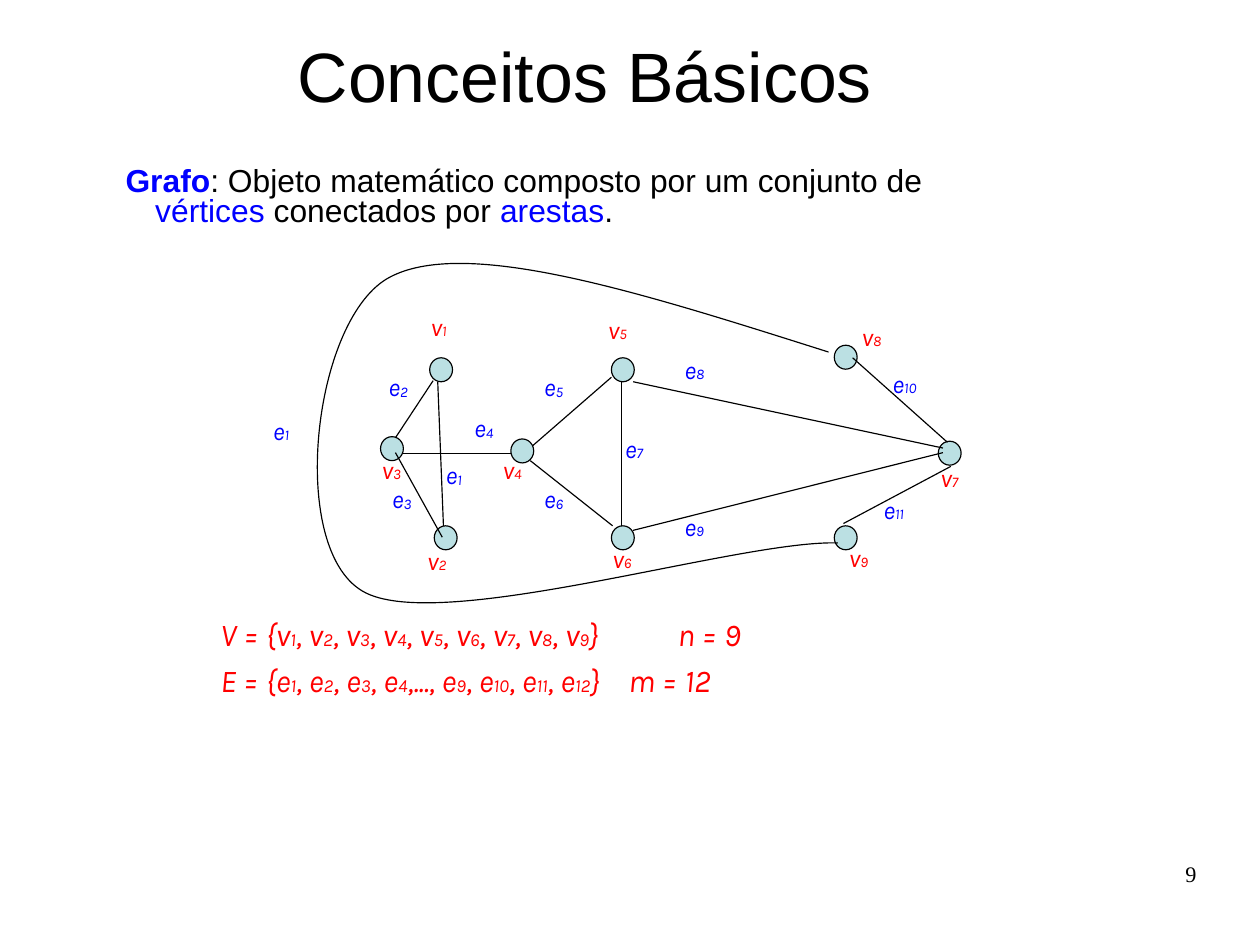
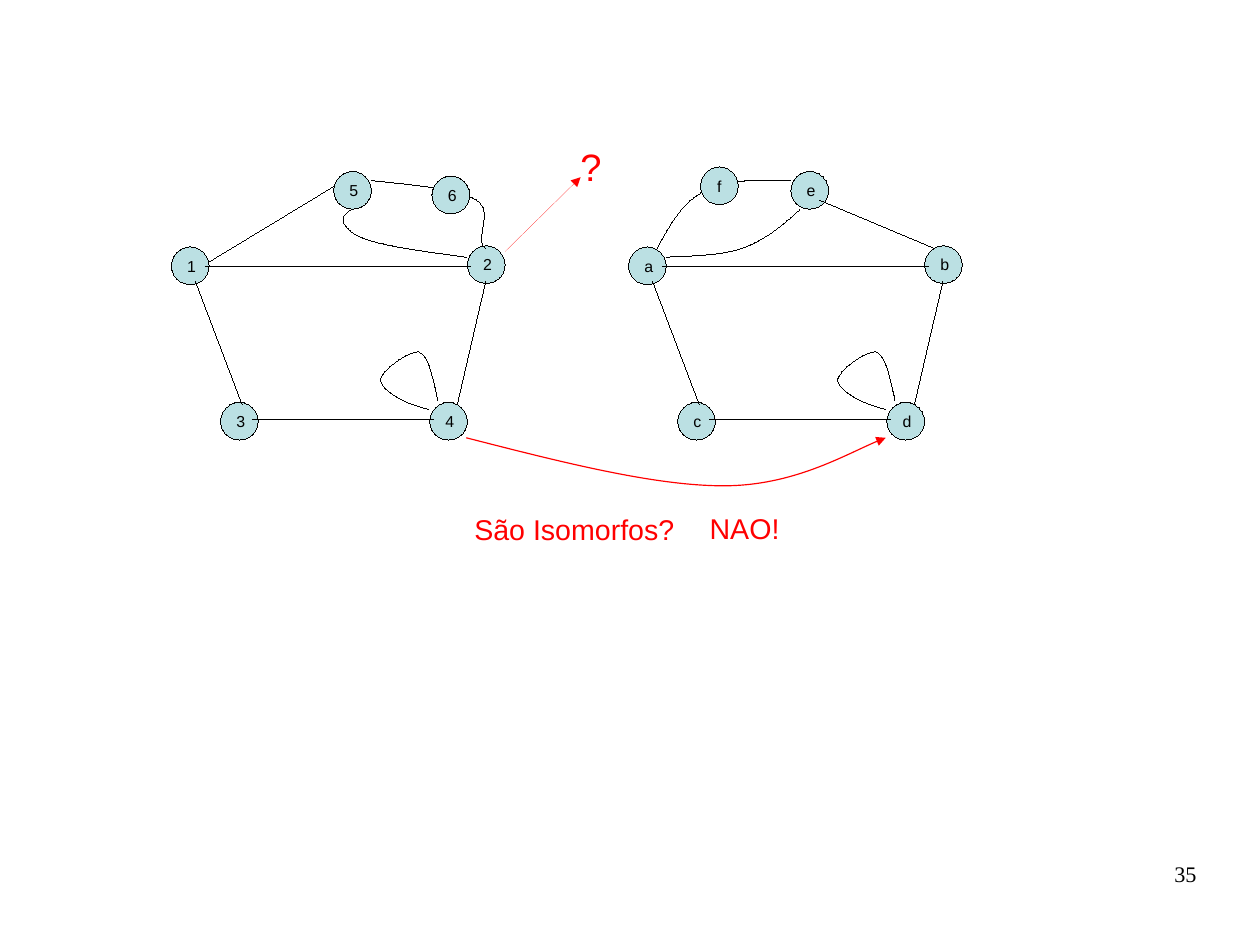
from dataclasses import dataclass
from typing import NamedTuple

from lxml.etree import SubElement
from pptx import Presentation
from pptx.dml.color import RGBColor
from pptx.enum.shapes import MSO_CONNECTOR, MSO_SHAPE
from pptx.enum.text import MSO_ANCHOR as Anchor, PP_ALIGN as Align
from pptx.oxml.ns import qn
from pptx.util import Emu, Inches, Pt

SLIDE_WIDTH, SLIDE_HEIGHT = Emu(10080625), Emu(7559675)
BLACK, RED, BLUE, NODE_FILL = "000000", "FF0000", "0000FF", "BBE0E3"
THIN, HAIRLINE = 0.75, 0
RIGHT_GRAPH_SHIFT = 4


class Point(NamedTuple):
    x: float
    y: float


class Box(NamedTuple):
    left: float
    top: float
    width: float
    height: float


class Edge(NamedTuple):
    start: Point
    end: Point


class Run(NamedTuple):
    text: str
    color: str = BLACK
    bold: bool = False
    subscript: bool = False


class Label(NamedTuple):
    letter: str
    index: str
    left: float
    top: float


@dataclass
class Para:
    runs: list[Run]
    size: float
    font: str = "Arial"
    italic: bool = False
    align: Align = Align.LEFT
    line_spacing: float | None = None
    space_before: float = 0
    hanging: float = 0
    tab: float = 0


@dataclass
class Curve:
    """Cubic curve: a start, then three points for each bend."""
    points: list[tuple[float, float]]
    color: str = BLACK
    width: float = HAIRLINE
    arrow: bool = False


def rgb(color: str) -> RGBColor:
    return RGBColor.from_string(color)


def marked_runs(marked: str, color: str) -> list[Run]:
    """Split at underscores; every second piece is a subscript."""
    return [Run(piece, color, subscript=i % 2 == 1)
            for i, piece in enumerate(marked.split("_")) if piece]


def fill_frame(frame, paras: list[Para]) -> None:
    for i, para in enumerate(paras):
        paragraph = frame.add_paragraph() if i else frame.paragraphs[0]
        props = paragraph._p.get_or_add_pPr()
        if para.hanging:
            props.set("marL", str(Inches(para.hanging)))
            props.set("indent", str(-Inches(para.hanging)))
        if para.tab:
            tabs = SubElement(props, qn("a:tabLst"))
            SubElement(tabs, qn("a:tab"), pos=str(Inches(para.tab)), algn="l")
        spacing = {"alignment": para.align, "line_spacing": para.line_spacing,
                   "space_before": Pt(para.space_before) if i else None}
        for name, value in spacing.items():
            setattr(paragraph, name, value)
        for part in para.runs:
            run = paragraph.add_run()
            run.text = part.text
            style = {"name": para.font, "size": Pt(para.size),
                     "italic": para.italic, "bold": part.bold}
            for name, value in style.items():
                setattr(run.font, name, value)
            run.font.color.rgb = rgb(part.color)
            if part.subscript:
                run._r.get_or_add_rPr().set("baseline", "-1000")


def set_frame(frame, margin_x: float, margin_y: float, anchor: Anchor, wrap: bool) -> None:
    layout = {"margin_left": Inches(margin_x), "margin_right": Inches(margin_x),
              "margin_top": Inches(margin_y), "margin_bottom": Inches(margin_y),
              "vertical_anchor": anchor, "word_wrap": wrap}
    for name, value in layout.items():
        setattr(frame, name, value)


def add_text(slide, box: Box, paras: list[Para], anchor: Anchor = Anchor.TOP,
             margins: tuple[float, float] = (0.1, 0.05), wrap: bool = True) -> None:
    frame = slide.shapes.add_textbox(*map(Inches, box)).text_frame
    set_frame(frame, *margins, anchor, wrap)
    fill_frame(frame, paras)


def set_line(line, color: str, width: float, arrow: bool = False) -> None:
    """Write the width out, because a zero would otherwise fall back to the theme."""
    line.color.rgb = rgb(color)
    outline = line._get_or_add_ln()
    outline.set("w", str(Pt(width)))
    if arrow:
        SubElement(outline, qn("a:tailEnd"), type="triangle")


def add_node(slide, box: Box, width: float, name: str = "") -> None:
    node = slide.shapes.add_shape(MSO_SHAPE.OVAL, *map(Inches, box))
    node.shadow.inherit = False
    node.fill.solid()
    node.fill.fore_color.rgb = rgb(NODE_FILL)
    set_line(node.line, BLACK, width)
    if name:
        set_frame(node.text_frame, 0.09, 0.04, Anchor.MIDDLE, True)
        fill_frame(node.text_frame, [Para([Run(name)], 10, align=Align.CENTER)])


def add_edge(slide, edge: Edge, width: float, color: str = BLACK, arrow: bool = False) -> None:
    line = slide.shapes.add_connector(
        MSO_CONNECTOR.STRAIGHT, *map(Inches, (*edge.start, *edge.end)))
    set_line(line.line, color, width, arrow)
    SubElement(line._element.spPr, qn("a:effectLst"))


def add_curve(slide, curve: Curve, shift: float = 0) -> None:
    """Build the outline from its control points, then join them in threes as Béziers."""
    points = [(Inches(x + shift), Inches(y)) for x, y in curve.points]
    builder = slide.shapes.build_freeform(*points[0])
    builder.add_line_segments(points[1:], close=False)
    shape = builder.convert_to_shape()
    shape.shadow.inherit = False
    shape.fill.background()
    set_line(shape.line, curve.color, curve.width, curve.arrow)
    outline = next(shape._element.iter(qn("a:path")))
    steps = outline.findall(qn("a:lnTo"))
    for first in range(0, len(steps), 3):
        bend = SubElement(outline, qn("a:cubicBezTo"))
        for step in steps[first:first + 3]:
            bend.append(step[0])
            outline.remove(step)


def add_page_number(slide, number: int) -> None:
    add_text(slide, Box(7.9, 7.53, 2.57, 0.57),
             [Para([Run(str(number))], 14, "Times New Roman", align=Align.RIGHT)],
             margins=(0, 0))


def edges(*ends: tuple[float, float, float, float]) -> list[Edge]:
    return [Edge(Point(x1, y1), Point(x2, y2)) for x1, y1, x2, y2 in ends]


VERTICES = [Point(3.76, 3.13), Point(3.8, 4.6), Point(3.33, 3.82), Point(4.47, 3.84),
            Point(7.3, 3.02), Point(5.35, 4.6), Point(7.3, 4.6), Point(5.35, 3.13),
            Point(8.21, 3.86)]
GRAPH_EDGES = edges(
    (3.53, 3.97, 4.47, 3.97), (5.44, 3.34, 5.44, 4.6), (4.66, 3.9, 5.35, 3.3),
    (4.64, 4.03, 5.36, 4.6), (5.54, 3.34, 8.25, 3.92), (5.54, 4.64, 8.25, 3.96),
    (8.29, 3.87, 7.46, 3.13), (8.32, 4.08, 7.38, 4.58), (3.87, 4.7, 3.46, 3.96),
    (3.79, 3.33, 3.46, 3.83), (3.83, 3.34, 3.88, 4.6))
OUTER_EDGE = Curve([(7.25, 3.08), (5.67, 2.58), (4.1, 2.07), (3.42, 2.42),
                    (2.74, 2.76), (2.51, 4.78), (3.17, 5.17),
                    (3.82, 5.56), (6.47, 4.72), (7.33, 4.75)], width=THIN)
LABELS = [
    Label("e", "3", 3.33, 4.18), Label("e", "2", 3.3, 3.2), Label("e", "4", 4.05, 3.56),
    Label("e", "5", 4.66, 3.2), Label("e", "9", 5.89, 4.42), Label("e", "6", 4.66, 4.18),
    Label("e", "8", 5.89, 3.05), Label("e", "10", 7.71, 3.17), Label("e", "11", 7.63, 4.27),
    Label("e", "1", 3.8, 3.97), Label("e", "1", 2.29, 3.58), Label("e", "7", 5.37, 3.74),
    Label("v", "1", 3.67, 2.67), Label("v", "2", 3.64, 4.72), Label("v", "3", 3.24, 3.92),
    Label("v", "4", 4.3, 3.92), Label("v", "5", 5.22, 2.7), Label("v", "6", 5.26, 4.7),
    Label("v", "7", 8.13, 3.99), Label("v", "8", 7.44, 2.76), Label("v", "9", 7.33, 4.69)]
LABEL_COLORS = {"e": BLUE, "v": RED}

COMMON_NODES = [Point(1.93, 3.52), Point(3.76, 3.52), Point(1.5, 2.16),
                Point(4.09, 2.15), Point(2.92, 1.5)]
COMMON_EDGES = edges((4, 3.54, 4.25, 2.46), (3.79, 3.67, 2.21, 3.67),
                     (2.12, 3.54, 1.71, 2.46), (4.12, 2.33, 1.8, 2.33))
LOOP = Curve([(3.83, 3.5), (3.79, 3.31), (3.75, 3.11), (3.67, 3.08),
              (3.58, 3.06), (3.32, 3.25), (3.33, 3.33),
              (3.35, 3.42), (3.53, 3.53), (3.75, 3.58)])
OTHER_EDGES = edges((1.83, 2.29, 2.92, 1.63), (7.17, 1.75, 8.17, 2.17))
OTHER_CURVES = [
    Curve([(3.25, 1.58), (3.63, 1.62), (4, 1.65), (4.17, 1.75),
           (4.33, 1.85), (4.14, 2.1), (4.25, 2.17)]),
    Curve([(4.08, 2.25), (3.71, 2.2), (3.33, 2.15), (3.17, 2.08),
           (3, 2.01), (2.94, 1.89), (3.08, 1.83)]),
    Curve([(5.75, 2.17), (5.86, 1.97), (5.97, 1.76), (6.17, 1.67),
           (6.36, 1.57), (6.64, 1.57), (6.92, 1.58)]),
    Curve([(7, 1.83), (6.85, 1.97), (6.69, 2.1), (6.5, 2.17),
           (6.31, 2.24), (6, 2.24), (5.83, 2.25)]),
    Curve([(4.08, 3.83), (4.9, 4.04), (5.72, 4.25), (6.33, 4.25),
           (6.94, 4.25), (7.46, 3.94), (7.75, 3.83)], RED, THIN, arrow=True)]
QUESTION_ARROW = Edge(Point(4.42, 2.2), Point(5.08, 1.55))


def build_concepts(slide) -> None:
    for x, y in VERTICES:
        add_node(slide, Box(x, y, 0.2, 0.21), THIN)
    for edge in GRAPH_EDGES:
        add_edge(slide, edge, THIN)
    for letter, index, left, top in LABELS:
        runs = marked_runs(f"{letter}_{index}_", LABEL_COLORS[letter])
        width = 0.53 if len(index) == 1 else 0.71
        add_text(slide, Box(left, top, width, 0.45), [Para(runs, 16, "Karla", italic=True)])
    vertex_set = ", ".join(f"v_{i}_" for i in range(1, 10))
    first_edges, last_edges = (", ".join(f"e_{i}_" for i in span)
                               for span in (range(1, 5), range(9, 13)))
    sets = [(f"V = {{{vertex_set}}}\tn = 9", 4),
            (f"E = {{{first_edges},..., {last_edges}}}\tm = 12", 3.57)]
    add_text(slide, Box(1.83, 5.33, 6.83, 0.92),
             [Para(marked_runs(text, RED), 20, "Karla", italic=True, space_before=5, tab=tab)
              for text, tab in sets])
    add_text(slide, Box(1.58, 0.26, 7.08, 0.79),
             [Para([Run("Conceitos Básicos")], 44, align=Align.CENTER)], Anchor.MIDDLE)
    definition = [Run("Grafo", BLUE, bold=True),
                  Run(": Objeto matemático composto por um conjunto de "),
                  Run("vértices", BLUE), Run(" conectados por "), Run("arestas", BLUE), Run(".")]
    add_text(slide, Box(1, 1.42, 7.92, 1),
             [Para(definition, 20, line_spacing=0.8, hanging=0.26)])
    add_curve(slide, OUTER_EDGE)


def build_isomorphism(slide) -> None:
    def add_circle(name: str, x: float, y: float) -> None:
        add_node(slide, Box(x, y, 0.33, 0.33), HAIRLINE, name)

    for names, shift in (("34125", 0), ("cdabe", RIGHT_GRAPH_SHIFT)):
        for name, (x, y) in zip(names, COMMON_NODES):
            add_circle(name, x + shift, y)
        for start, end in COMMON_EDGES:
            moved = Edge(Point(start.x + shift, start.y), Point(end.x + shift, end.y))
            add_edge(slide, moved, HAIRLINE)
        add_curve(slide, LOOP, shift)
    for edge in OTHER_EDGES:
        add_edge(slide, edge, HAIRLINE)
    for curve in OTHER_CURVES:
        add_curve(slide, curve)
    add_edge(slide, QUESTION_ARROW, HAIRLINE, RED, arrow=True)
    for text, size, box in (("São Isomorfos?", 18, Box(4.05, 4.43, 1.95, 0.38)),
                            ("?", 24, Box(4.98, 1.21, 0.38, 0.47)),
                            ("NAO!", 18, Box(5.95, 4.42, 1.13, 0.38))):
        add_text(slide, box, [Para([Run(text, RED)], size, align=Align.CENTER)], wrap=False)
    add_circle("6", 3.78, 1.54)
    add_circle("f", 6.13, 1.46)


def main() -> None:
    deck = Presentation()
    deck.slide_width = SLIDE_WIDTH
    deck.slide_height = SLIDE_HEIGHT
    for build, number in ((build_concepts, 9), (build_isomorphism, 35)):
        slide = deck.slides.add_slide(deck.slide_layouts[6])
        build(slide)
        add_page_number(slide, number)
    deck.save("out.pptx")


if __name__ == "__main__":
    main()
